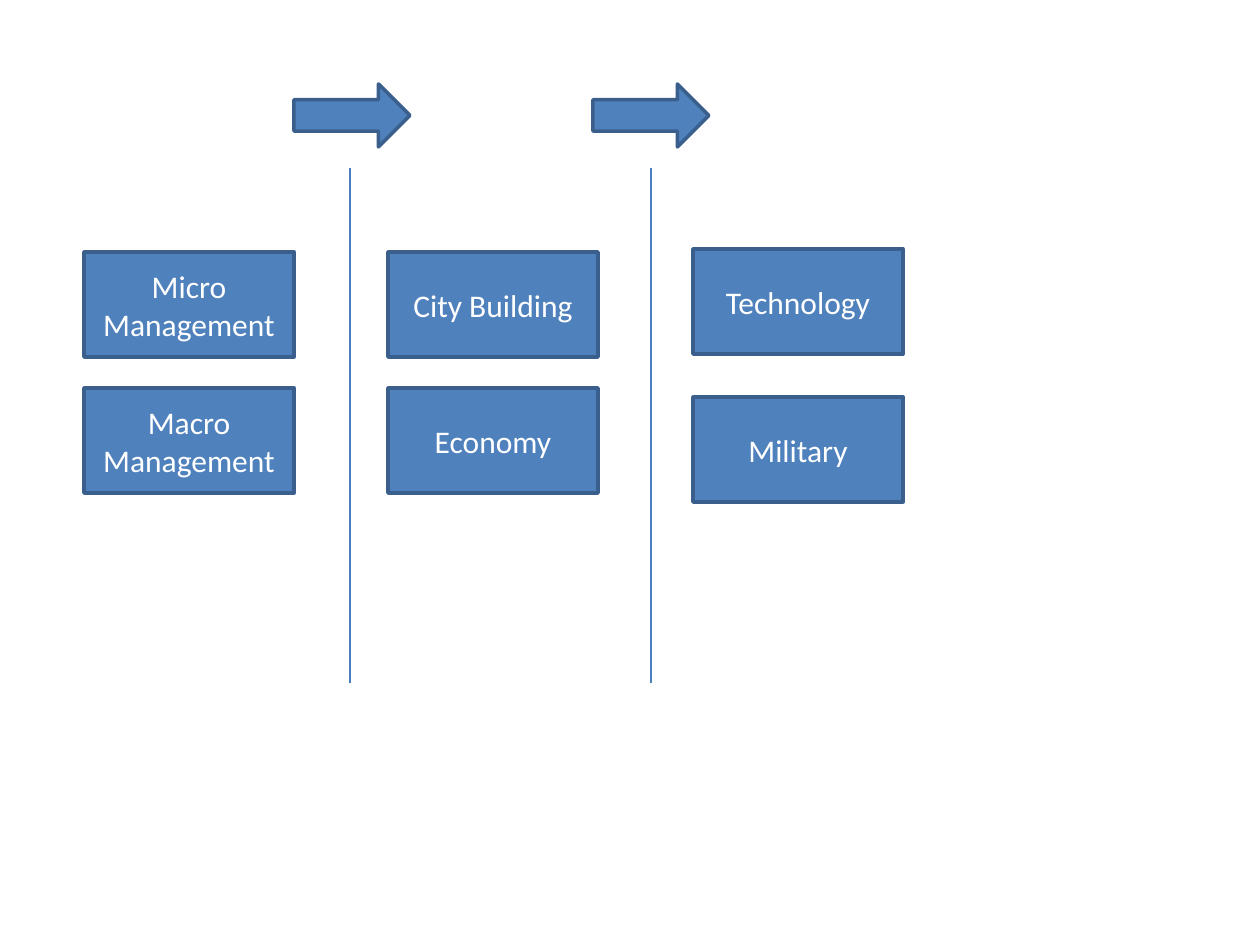
import pptx
import pptx.util
import pptx.dml.color
import pptx.enum.shapes
import pptx.enum.text
import pptx.oxml.ns
import lxml.etree

SCALE = 914400 / 126
COLORS = {"fill": "4F81BD", "outline": "3A5F8C", "divider": "4B7EBC", "text": "FFFFFF"}
SHAPES = pptx.enum.shapes.MSO_SHAPE

BOX_SIZE = (210, 105)
ARROW_SIZE = (116, 63)
DIVIDER_HEIGHT = 515

# Left edge, then the top and lines of text of each box
COLUMNS = [
    (84, [(252, ["Micro", "Management"]), (388, ["Macro", "Management"])]),
    (388, [(252, ["City Building"]), (388, ["Economy"])]),
    (693, [(249, ["Technology"]), (397, ["Military"])]),
]
# Left edge of the arrow, position of the divider below it
TRANSITIONS = [(294, 350), (593, 651)]


def emu(pixels):
    """Turn pixels into EMU."""
    return pptx.util.Emu(round(pixels * SCALE))


def color(name):
    """Look up a colour by its name."""
    return pptx.dml.color.RGBColor.from_string(COLORS[name])


def add_block(page, kind, left, top, size):
    """Add a filled and outlined preset shape."""
    block = page.shapes.add_shape(kind, emu(left), emu(top), *map(emu, size))
    block.shadow.inherit = False
    block.fill.solid()
    block.fill.fore_color.rgb = color("fill")
    block.line.color.rgb = color("outline")
    block.line.width = pptx.util.Pt(2)
    return block


def write_text(shape, lines, size=18, font="Calibri", ink="text"):
    """Write centred paragraphs in a shape."""
    frame = shape.text_frame
    frame.word_wrap = True
    frame.vertical_anchor = pptx.enum.text.MSO_ANCHOR.MIDDLE
    for index, line in enumerate(lines):
        para = frame.add_paragraph() if index else frame.paragraphs[0]
        para.alignment = pptx.enum.text.PP_ALIGN.CENTER
        span = para.add_run()
        span.text = line
        span.font.size = pptx.util.Pt(size)
        span.font.name = font
        span.font.color.rgb = color(ink)


def add_column(page, left, boxes):
    """Add the labelled boxes of one column."""
    for top, lines in boxes:
        box = add_block(page, SHAPES.RECTANGLE, left, top, BOX_SIZE)
        write_text(box, lines)


def add_transition(page, left, divider_left, top=84):
    """Add an arrow and the divider that starts below it."""
    start = top + 84
    divider = page.shapes.add_connector(
        pptx.enum.shapes.MSO_CONNECTOR.STRAIGHT,
        emu(divider_left), emu(start), emu(divider_left), emu(start + DIVIDER_HEIGHT))
    divider.line.color.rgb = color("divider")
    divider.line.width = pptx.util.Pt(0.75)
    lxml.etree.SubElement(divider._element.spPr, pptx.oxml.ns.qn("a:effectLst"))
    add_block(page, SHAPES.RIGHT_ARROW, left, top, ARROW_SIZE)


def build():
    """Build the slide and save the deck."""
    deck = pptx.Presentation()
    deck.slide_width, deck.slide_height = emu(1260), emu(945)
    page = deck.slides.add_slide(deck.slide_layouts[6])
    for left, boxes in COLUMNS:
        add_column(page, left, boxes)
    for left, divider_left in TRANSITIONS:
        add_transition(page, left, divider_left)
    deck.save("out.pptx")


build()
